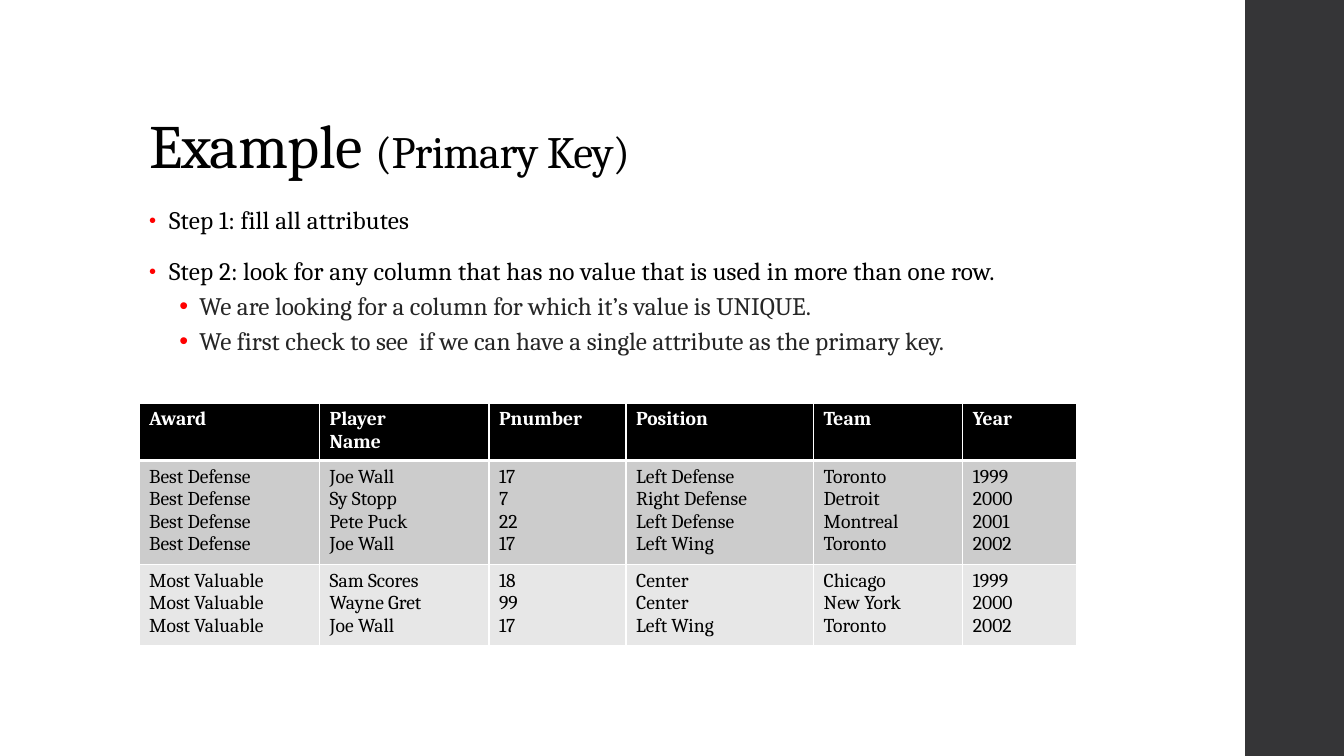
from pptx import Presentation
from pptx.dml.color import RGBColor
from pptx.enum.shapes import MSO_SHAPE
from pptx.enum.text import MSO_ANCHOR, MSO_AUTO_SIZE, PP_ALIGN
from pptx.oxml.ns import qn
from pptx.util import Inches, Pt
from lxml import etree

COLORS = {"black": "000000", "white": "FFFFFF", "sidebar": "353537", "detail": "262626",
          "bullet": "FF0000", "defense": "CCCCCC", "valuable": "E7E7E7"}


def add_xml(parent, tag, **attributes):
    return etree.SubElement(parent, qn(tag), attributes)


class SlideBuilder:
    font = "Cambria"

    def __init__(self, slide):
        self.slide = slide

    def color(self, name):
        return RGBColor.from_string(COLORS[name])

    def run(self, paragraph, text, size, color="black", bold=False, spacing=0):
        run = paragraph.add_run()
        run.text = text
        run.font.name, run.font.size, run.font.bold = self.font, Pt(size), bold
        run.font.color.rgb = self.color(color)
        if spacing:
            run.font._element.set("spc", str(round(spacing * 100)))

    def bar(self, left, top, width, height, color):
        bar = self.slide.shapes.add_shape(MSO_SHAPE.RECTANGLE, Inches(left), Inches(top),
                                          Inches(width), Inches(height))
        bar.shadow.inherit = False
        bar.fill.solid()
        bar.fill.fore_color.rgb = self.color(color)
        bar.line.fill.background()

    def title(self, left, top, width, height, parts):
        title = self.slide.shapes.title
        title.left, title.top = Inches(left), Inches(top)
        title.width, title.height = Inches(width), Inches(height)
        frame = title.text_frame
        frame.word_wrap, frame.auto_size = True, MSO_AUTO_SIZE.NONE
        frame.vertical_anchor = MSO_ANCHOR.BOTTOM
        paragraph = frame.paragraphs[0]
        paragraph.alignment, paragraph.line_spacing = PP_ALIGN.LEFT, 0.9
        for text, size in parts:
            self.run(paragraph, text, size, spacing=-0.5)

    def bullets(self, left, top, width, height, items):
        frame = self.slide.shapes.add_textbox(Inches(left), Inches(top),
                                              Inches(width), Inches(height)).text_frame
        frame.word_wrap = True
        for i, (level, text) in enumerate(items):
            paragraph = frame.add_paragraph() if i else frame.paragraphs[0]
            paragraph.level = level
            line, before, after, indent, bullet_size, color, spacing = (
                (0.9, 3, 3, 0.5, 100, "detail", 0) if level
                else (0.95, 14, 2, 0.2, 80, "black", 0.1))
            paragraph.line_spacing = line
            paragraph.space_before, paragraph.space_after = Pt(before), Pt(after)
            properties = paragraph._p.get_or_add_pPr()
            properties.set("marL", str(Inches(indent)))
            properties.set("indent", str(Inches(-0.2)))
            add_xml(add_xml(properties, "a:buClr"), "a:srgbClr", val=COLORS["bullet"])
            add_xml(properties, "a:buSzPct", val=str(bullet_size * 1000))
            add_xml(properties, "a:buFont", typeface="Arial")
            add_xml(properties, "a:buChar", char="•")
            self.run(paragraph, text, 18, color, spacing=spacing)

    def borders(self, cell, **widths):
        properties = cell._tc.get_or_add_tcPr()
        for side in "LRTB":
            line = add_xml(properties, f"a:ln{side}", w=str(Pt(widths.get(side, 1))))
            add_xml(add_xml(line, "a:solidFill"), "a:srgbClr", val=COLORS["white"])

    def table(self, left, top, widths, heights, rows, fills):
        table = self.slide.shapes.add_table(len(rows), len(widths), Inches(left), Inches(top),
                                            Inches(sum(widths)), Inches(sum(heights))).table
        for column, width in zip(table.columns, widths):
            column.width = Inches(width)
        for r, (texts, height, fill) in enumerate(zip(rows, heights, fills)):
            table.rows[r].height = Inches(height)
            header = r == 0
            for c, lines in enumerate(texts):
                cell = table.cell(r, c)
                self.borders(cell, **({"B": 3} if header else {"T": 3} if r == 1 else {}))
                cell.fill.solid()
                cell.fill.fore_color.rgb = self.color(fill)
                for i, text in enumerate(lines):
                    frame = cell.text_frame
                    paragraph = frame.add_paragraph() if i else frame.paragraphs[0]
                    self.run(paragraph, text, 14, "white" if header else "black", header)


presentation = Presentation()
presentation.slide_width, presentation.slide_height = Inches(13.33), Inches(7.5)
builder = SlideBuilder(presentation.slides.add_slide(presentation.slide_layouts[5]))

# Sidebar and title
builder.bar(12.35, 0, 1, 7.5, "sidebar")
builder.title(1.38, 0.4, 10.6, 1.45, [("Example ", 44), ("(Primary Key)", 32)])

# Steps for finding the key
builder.bullets(1.38, 2, 9.4, 1.75, [
    (0, "Step 1: fill all attributes"),
    (0, "Step 2: look for any column that has no value that is used in more than one row."),
    (1, "We are looking for a column for which it’s value is UNIQUE."),
    (1, "We first check to see  if we can have a single attribute as the primary key."),
])

# Awards table: each award's records share one row
header = [["Award"], ["Player", "Name"], ["Pnumber"], ["Position"], ["Team"], ["Year"]]
defense = [
    ("Best Defense", "Joe Wall", "17", "Left Defense", "Toronto", "1999"),
    ("Best Defense", "Sy Stopp", "7", "Right Defense", "Detroit", "2000"),
    ("Best Defense", "Pete Puck", "22", "Left Defense", "Montreal", "2001"),
    ("Best Defense", "Joe Wall", "17", "Left Wing", "Toronto", "2002"),
]
valuable = [
    ("Most Valuable", "Sam Scores", "18", "Center", "Chicago", "1999"),
    ("Most Valuable", "Wayne Gret", "99", "Center", "New York", "2000"),
    ("Most Valuable", "Joe Wall", "17", "Left Wing", "Toronto", "2002"),
]
builder.table(1.38, 4, [1.79, 1.68, 1.36, 1.86, 1.48, 1.13], [0.54, 1, 0.77],
              [header, list(zip(*defense)), list(zip(*valuable))],
              ["black", "defense", "valuable"])

presentation.save("out.pptx")
